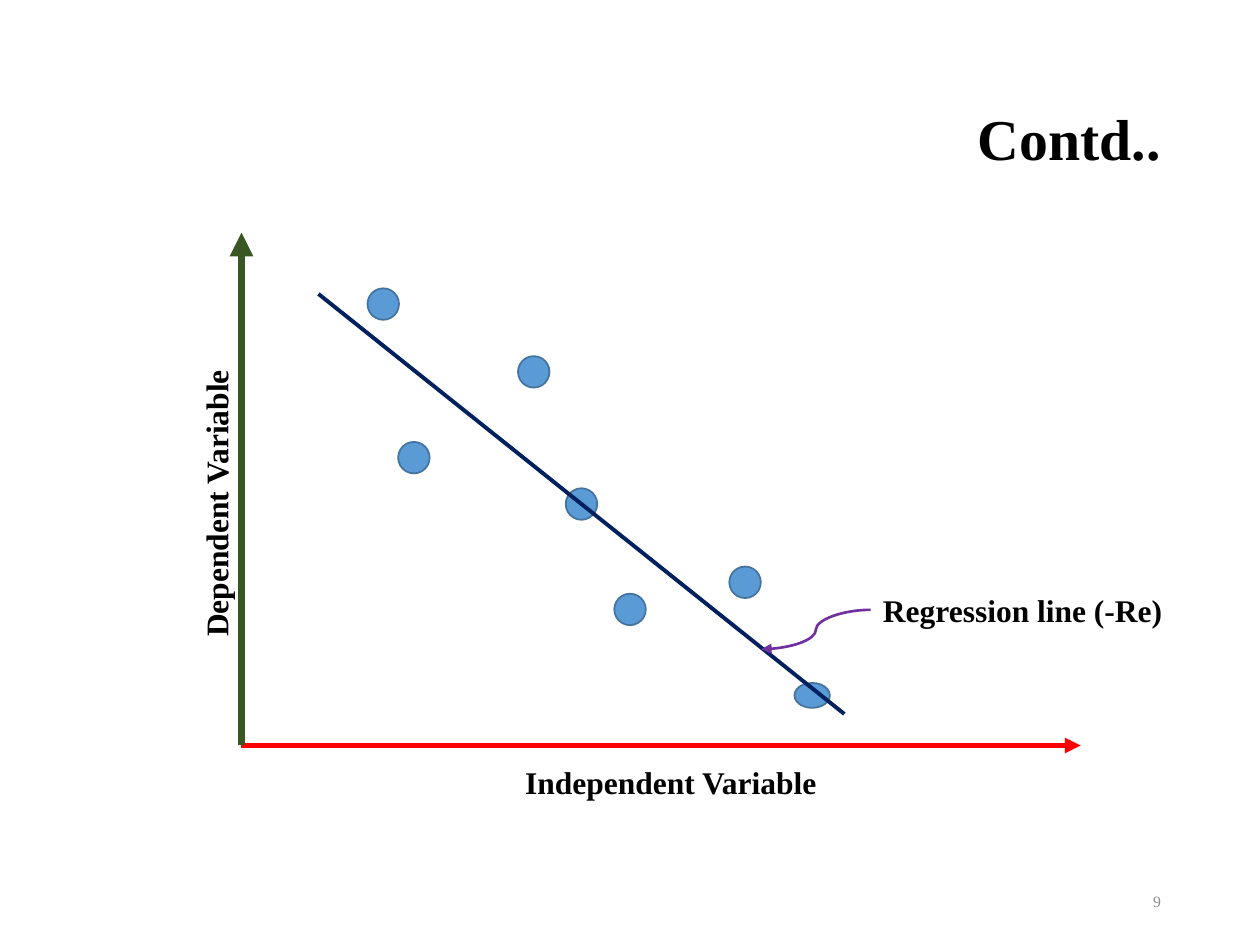
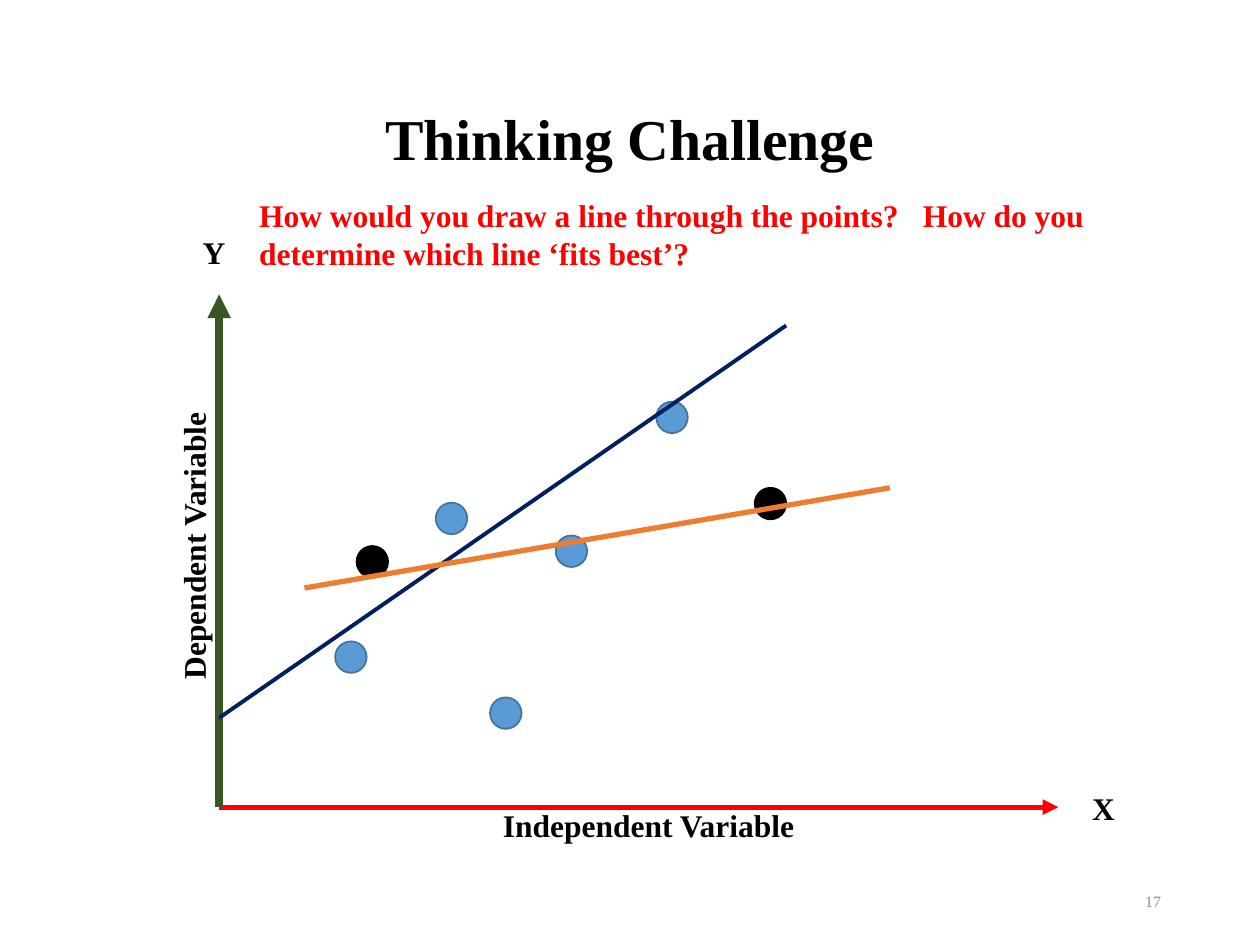
from dataclasses import dataclass

from lxml import etree
from pptx import Presentation
from pptx.dml.color import RGBColor
from pptx.enum.shapes import MSO_CONNECTOR, MSO_SHAPE
from pptx.enum.text import MSO_ANCHOR, MSO_AUTO_SIZE, PP_ALIGN
from pptx.oxml.ns import qn
from pptx.util import Pt

STRAIGHT, CURVE = MSO_CONNECTOR.STRAIGHT, MSO_CONNECTOR.CURVE
OVAL = MSO_SHAPE.OVAL
LEFT, CENTER, RIGHT = PP_ALIGN.LEFT, PP_ALIGN.CENTER, PP_ALIGN.RIGHT
TOP, MIDDLE = MSO_ANCHOR.TOP, MSO_ANCHOR.MIDDLE
NO_AUTOFIT = MSO_AUTO_SIZE.NONE
TITLE_ONLY_LAYOUT = 5
LEFT_SIDE = 1


@dataclass(frozen=True)
class Theme:
    font: str = "Times New Roman"
    title_size: float = 33
    label_size: float = 18
    number_size: float = 9
    black: str = "000000"
    gray: str = "8C8C8C"
    red: str = "FF0000"
    green: str = "385723"
    navy: str = "002060"
    purple: str = "7030A0"
    orange: str = "ED7D31"
    dot_fill: str = "5B9BD5"
    dot_line: str = "43739E"


def apply_format(target, values):
    for name, value in values.items():
        setattr(target, name, value)


class RegressionDeck:
    def __init__(self, theme):
        self.theme = theme
        self.presentation = Presentation()
        self.presentation.slide_width = Pt(720)
        self.presentation.slide_height = Pt(540)
        self.slide = None

    def start_slide(self, title, alignment, number):
        layout = self.presentation.slide_layouts[TITLE_ONLY_LAYOUT]
        self.slide = self.presentation.slides.add_slide(layout)
        shape = self.slide.shapes.title
        apply_format(shape, {"left": Pt(49.5), "top": Pt(28.75),
                             "width": Pt(621), "height": Pt(104.4)})
        self.fill_text(shape, [title], self.theme.title_size, self.theme.black,
                       alignment=alignment, anchor=MIDDLE, line_spacing=0.9)
        self.text(number, 508.5, 500.5, 162, 28.75, self.theme.number_size,
                  self.theme.gray, bold=False, alignment=RIGHT, anchor=MIDDLE)

    def fill_text(self, shape, pieces, size, color, bold=True, alignment=LEFT,
                  anchor=TOP, line_spacing=None):
        frame = shape.text_frame
        apply_format(frame, {"word_wrap": True, "auto_size": NO_AUTOFIT,
                             "vertical_anchor": anchor})
        paragraph = frame.paragraphs[0]
        apply_format(paragraph, {"alignment": alignment, "line_spacing": line_spacing})
        for piece in pieces:
            run = paragraph.add_run()
            run.text = piece
            apply_format(run.font, {"name": self.theme.font, "size": Pt(size), "bold": bold})
            run.font.color.rgb = RGBColor.from_string(color)
        return paragraph

    def text(self, text, left, top, width, height, size, color, **style):
        shape = self.slide.shapes.add_textbox(Pt(left), Pt(top), Pt(width), Pt(height))
        self.fill_text(shape, [text], size, color, **style)
        return shape

    def label(self, text, left, top, width):
        return self.text(text, left, top, width, 28.8,
                         self.theme.label_size, self.theme.black)

    def question(self, first, second, gap, left, top, width, height):
        shape = self.slide.shapes.add_textbox(Pt(left), Pt(top), Pt(width), Pt(height))
        paragraph = self.fill_text(shape, [first, " ", second],
                                   self.theme.label_size, self.theme.red)
        space = paragraph.runs[1]
        space.font._element.set("spc", str(gap * 100))

    def line(self, start, end, color, width, arrow=False, kind=STRAIGHT):
        connector = self.slide.shapes.add_connector(
            kind, *(Pt(value) for value in (*start, *end)))
        connector.line.color.rgb = RGBColor.from_string(color)
        connector.line.width = Pt(width)
        properties = connector._element.spPr
        if arrow:
            outline = properties.find(qn("a:ln"))
            etree.SubElement(outline, qn("a:tailEnd"), type="triangle")
        etree.SubElement(properties, qn("a:effectLst"))
        return connector

    def axes(self, origin):
        x, y = origin
        self.line(origin, (x + 479.5, y), self.theme.red, 3, arrow=True)
        self.line(origin, (x, y - 293), self.theme.green, 4.5, arrow=True)

    def axis_labels(self, origin, below, above):
        x, y = origin
        width, height = 182, 28.8
        self.label("Independent Variable", x + 155, y + below, width)
        vertical = self.label("Dependent Variable", x - 14.7 - width / 2,
                              y - above - height / 2, width)
        vertical.rotation = 270

    def dot(self, left, top, fill, outline, width=18, height=18):
        shape = self.slide.shapes.add_shape(OVAL, Pt(left), Pt(top), Pt(width), Pt(height))
        shape.shadow.inherit = False
        shape.fill.solid()
        shape.fill.fore_color.rgb = RGBColor.from_string(fill)
        shape.line.color.rgb = RGBColor.from_string(outline)
        shape.line.width = Pt(1)

    def blue_dots(self, positions):
        for position in positions:
            self.dot(*position, self.theme.dot_fill, self.theme.dot_line)

    def black_dots(self, positions):
        for position in positions:
            self.dot(*position, self.theme.black, self.theme.black)


def build_negative_regression(deck):
    theme = deck.theme
    origin = (138, 426)
    deck.start_slide("Contd..", RIGHT, "9")
    deck.axes(origin)
    deck.blue_dots([(210, 164.75), (296, 203.5), (416.75, 323.75),
                    (323.25, 279), (351, 339.25), (227.5, 252.5)])
    deck.dot(454, 390.25, theme.dot_fill, theme.dot_line, 20.25, 14.25)
    deck.line((482.5, 408), (182, 168), theme.navy, 2.25)
    deck.axis_labels(origin, below=6.5, above=146)
    caption = deck.label("Regression line (-Re)", 497.5, 334.1, 186)
    pointer = deck.line((497.5, 348.5), (435, 371), theme.purple, 1.5,
                        arrow=True, kind=CURVE)
    pointer.begin_connect(caption, LEFT_SIDE)


def build_thinking_challenge(deck):
    theme = deck.theme
    origin = (125.25, 461.25)
    deck.start_slide("Thinking Challenge", CENTER, "17")
    deck.axes(origin)
    deck.blue_dots([(191.5, 366.5), (280, 398.5), (375, 229.5),
                    (317.5, 306), (249, 287.25)])
    deck.black_dots([(203.75, 312), (431.25, 278.75)])
    deck.axis_labels(origin, below=-4.25, above=157)
    deck.label("Y", 108.75, 129.6, 32.4)
    deck.label("X", 617, 447.1, 32.4)
    deck.line((125.25, 410.25), (449.25, 186), theme.navy, 2.25)
    deck.question("How would you draw a line through the points?",
                  "How do you determine which line ‘fits best’?",
                  9, 141, 108.75, 519, 51)
    deck.line((174, 336), (508.5, 278.75), theme.orange, 3)


def main():
    deck = RegressionDeck(Theme())
    build_negative_regression(deck)
    build_thinking_challenge(deck)
    deck.presentation.save("out.pptx")


if __name__ == "__main__":
    main()
